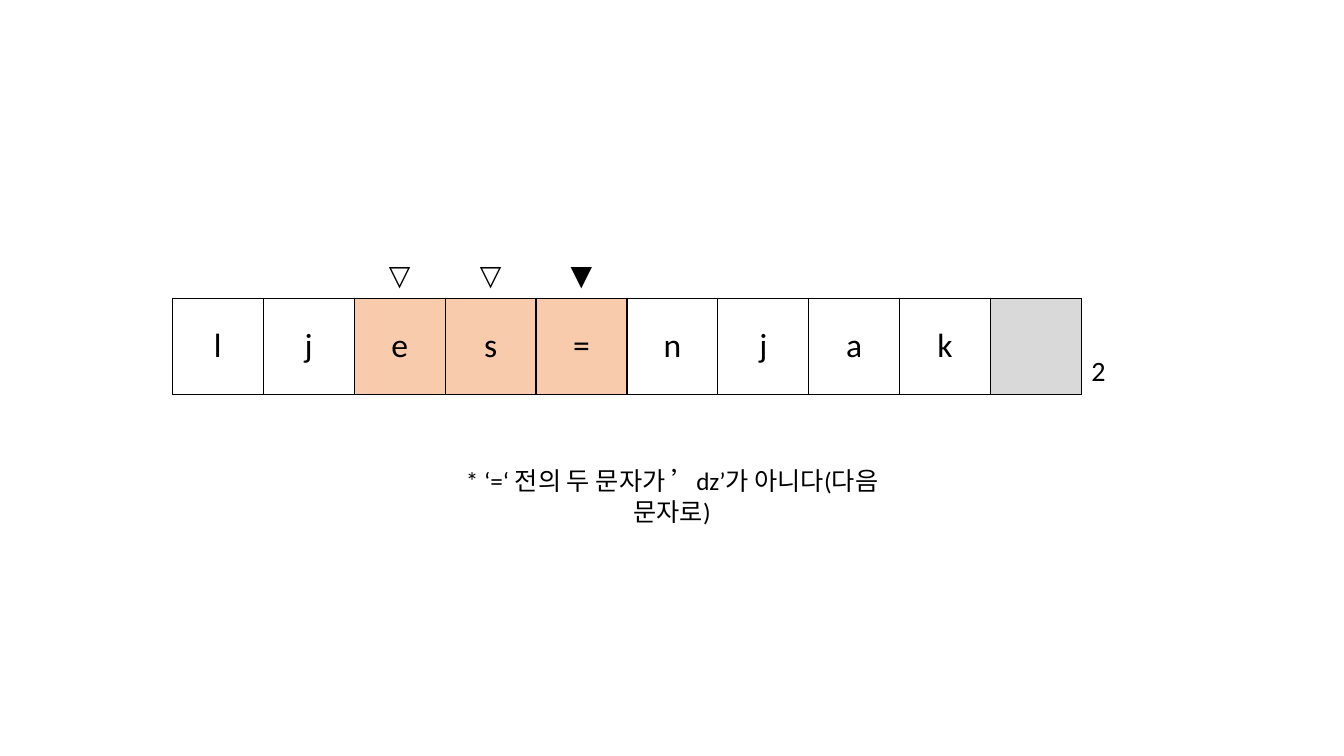
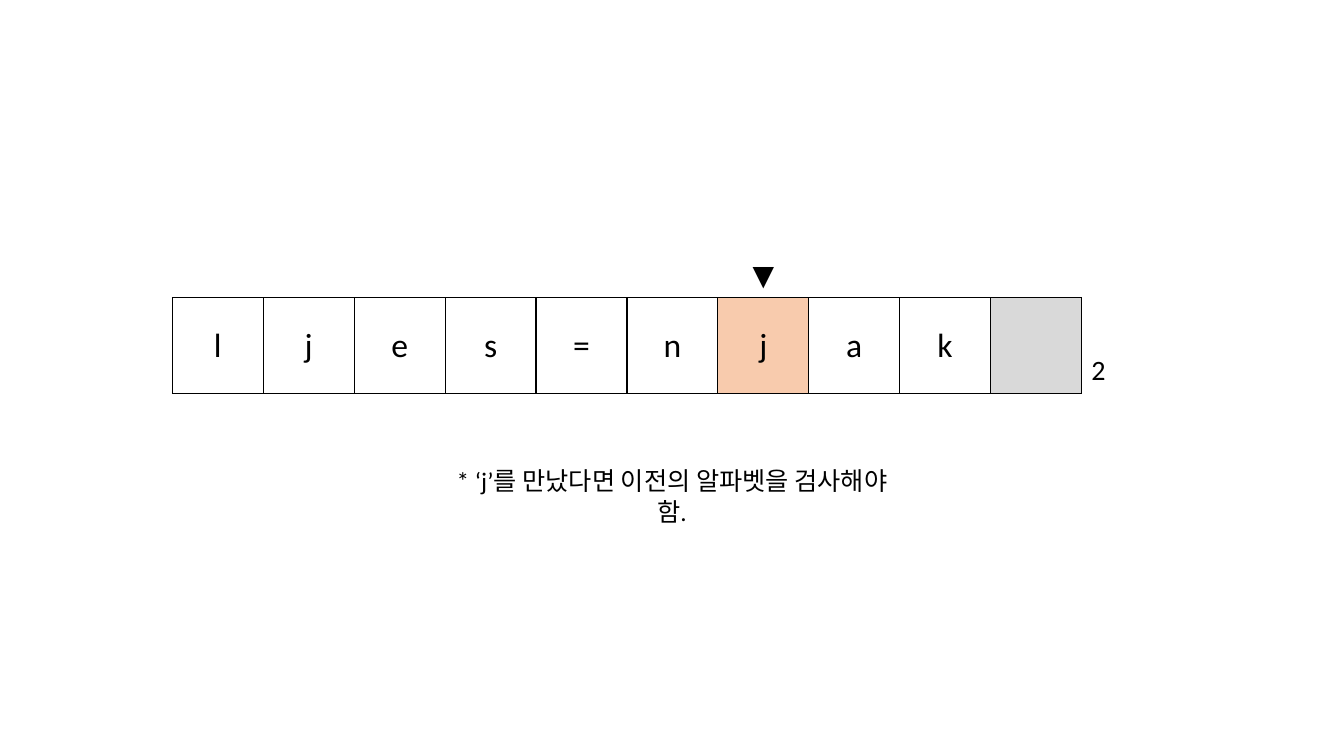
from pptx import Presentation
from pptx.dml.color import RGBColor
from pptx.enum.text import MSO_ANCHOR as Anchor, PP_ALIGN as Align
from pptx.oxml.ns import qn
from pptx.util import Inches, Pt
from lxml.etree import Element, SubElement

# Content
WORD = "ljes=njak"
COUNT = "2"
STEPS = [
    # marks above the letters by column, note below, note width
    ({2: "▽", 3: "▽", 4: "▼"},
     "* ‘=‘ 전의 두 문자가 ’dz’가 아니다(다음 문자로)", 4.78),
    ({6: "▼"}, "* ‘j’를 만났다면 이전의 알파벳을 검사해야 함.", 4.63),
]

# Shared style
FONT = "Calibri"
INK, PEACH, GRAY = "000000", "F8CBAD", "D9D9D9"
WIDE, HIGH = 13.33, 7.5
LEFT, TOP, WIDTH = 1.71, 2.52, 9.92
ROWS = (0.41, 0.95)
NOTE_TOP, NOTE_HIGH = 4.57, 0.4
PAD = len(WORD)         # the gray cell after the word
LAST = PAD + 1          # the open cell with the count


def color(code):
    return RGBColor.from_string(code)


def style(frame, text, size, align):
    frame.text = text
    par = frame.paragraphs[0]
    par.alignment = align
    for font in [par.font] + [run.font for run in par.runs]:
        font.name, font.size = FONT, Pt(size)
        font.color.rgb = color(INK)


def border(cell, sides):
    """Draw the named sides (L, R, T, B) and clear the others."""
    props = cell._tc.get_or_add_tcPr()
    for spot, side in enumerate("LRTB"):
        line = Element(qn("a:ln" + side), w=str(Pt(1)))
        if side in sides:
            fill = SubElement(line, qn("a:solidFill"))
            SubElement(fill, qn("a:srgbClr"), val=INK)
        else:
            SubElement(line, qn("a:noFill"))
        props.insert(spot, line)


def paint(cell, code):
    if code:
        cell.fill.solid()
        cell.fill.fore_color.rgb = color(code)
    else:
        cell.fill.background()


def add_word(slide, marks):
    table = slide.shapes.add_table(
        2, LAST + 1, Inches(LEFT), Inches(TOP),
        Inches(WIDTH), Inches(sum(ROWS))).table
    table.first_row = table.horz_banding = False
    for row, high in zip(table.rows, ROWS):
        row.height = Inches(high)

    for col in range(LAST + 1):
        table.columns[col].width = Inches(WIDTH / (LAST + 1))
        mark, box = table.cell(0, col), table.cell(1, col)

        # Mark row
        style(mark.text_frame, marks.get(col, ""), 20, Align.CENTER)
        mark.vertical_anchor = Anchor.BOTTOM
        paint(mark, None)
        border(mark, "" if col == LAST else "B")

        # Letter row
        if col == LAST:
            style(box.text_frame, COUNT, 20, Align.LEFT)
            box.vertical_anchor = Anchor.BOTTOM
        else:
            style(box.text_frame, WORD[col:col + 1], 24, Align.CENTER)
            box.vertical_anchor = Anchor.MIDDLE
        paint(box, PEACH if col in marks else GRAY if col == PAD else None)
        border(box, "L" if col == LAST else "LRTB")


def add_note(slide, text, width):
    note = slide.shapes.add_textbox(
        Inches((WIDE - width) / 2), Inches(NOTE_TOP),
        Inches(width), Inches(NOTE_HIGH))
    note.text_frame.word_wrap = True
    style(note.text_frame, text, 18, Align.CENTER)


# Slides
deck = Presentation()
deck.slide_width, deck.slide_height = Inches(WIDE), Inches(HIGH)
for marks, text, width in STEPS:
    slide = deck.slides.add_slide(deck.slide_layouts[6])
    add_word(slide, marks)
    add_note(slide, text, width)
deck.save("out.pptx")
